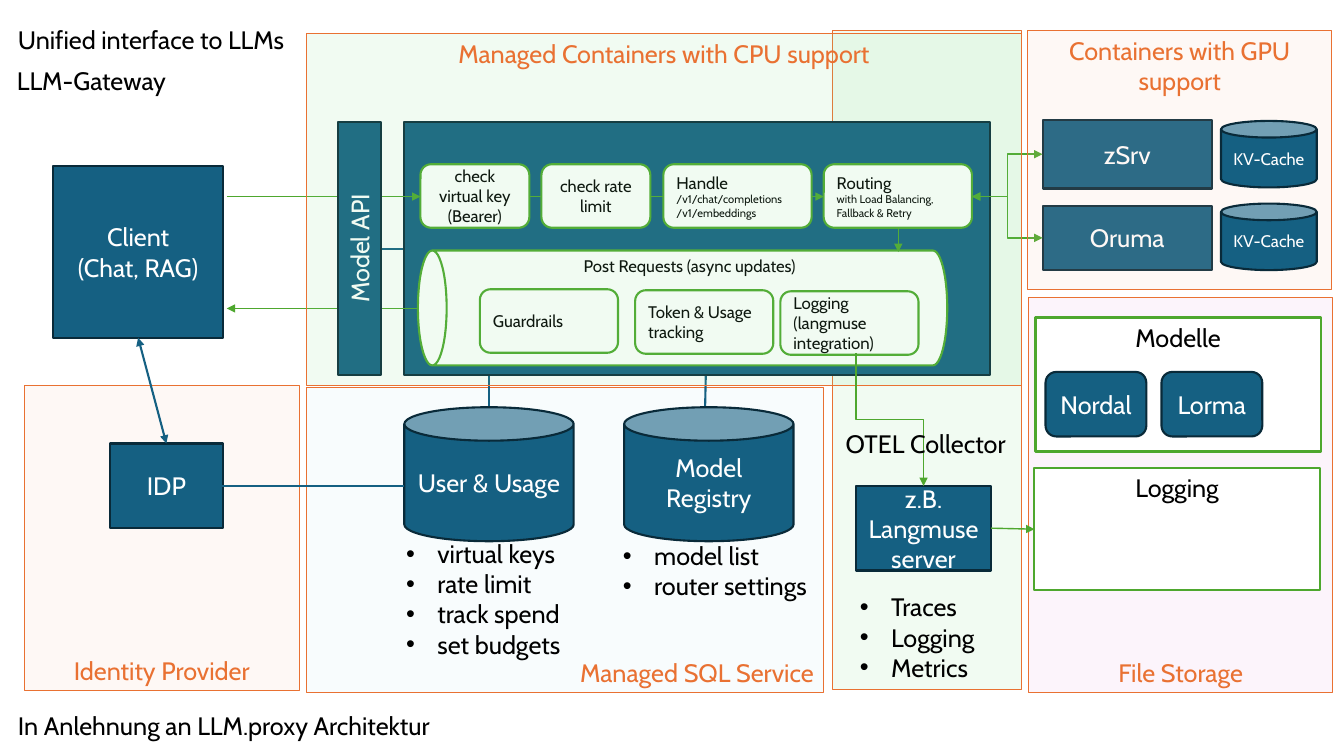
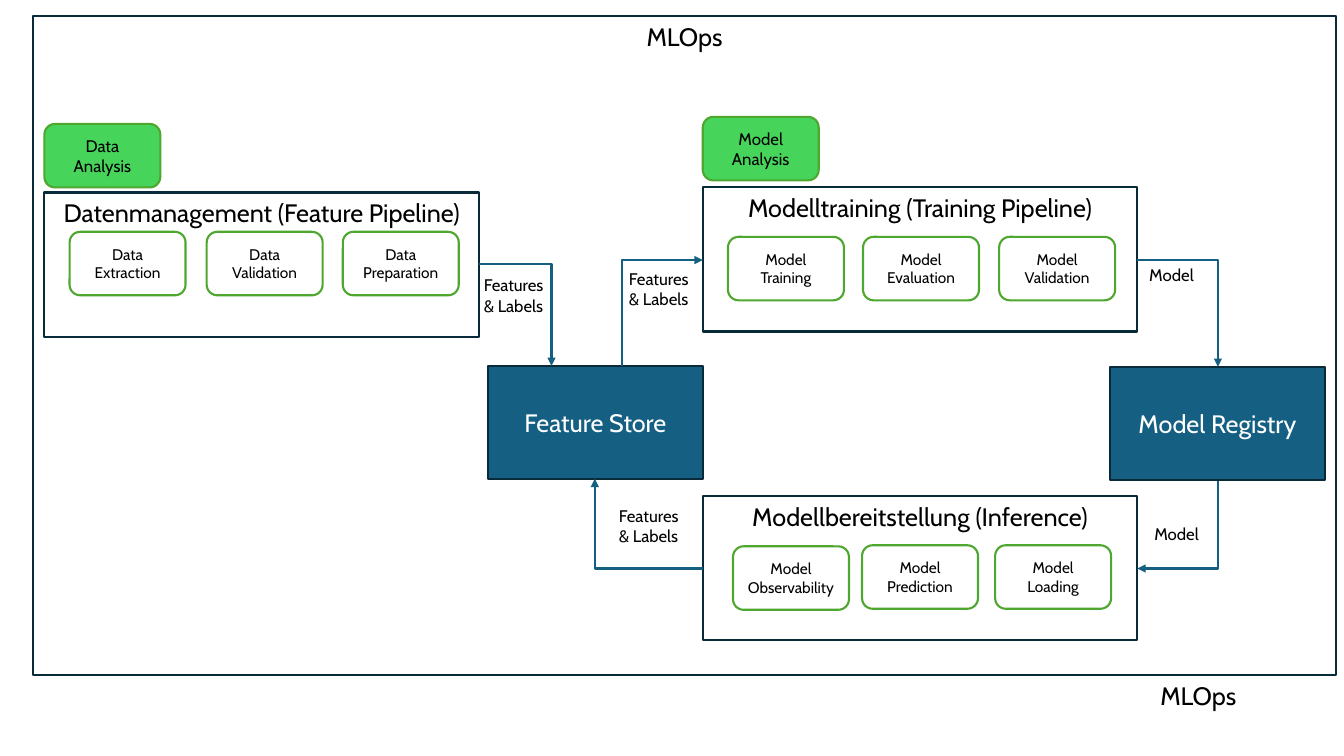
"""Build two architecture slides: an LLM gateway and an MLOps pipeline."""
from lxml.etree import SubElement
from pptx import Presentation
from pptx.dml.color import RGBColor
from pptx.enum.shapes import MSO_CONNECTOR as Wire, MSO_SHAPE as Form
from pptx.enum.text import MSO_ANCHOR as Anchor, MSO_AUTO_SIZE as Auto, PP_ALIGN as Align
from pptx.oxml.ns import qn
from pptx.util import Pt

PX = 9144
FONT = "Cabin"
BLUE, NAVY, GREEN, LIME = "156082", "092A39", "4EA72E", "47D45A"
ORANGE, WHITE, BLACK = "E97132", "FFFFFF", "000000"
MINT, SKY, PINK, PEACH = "84E291", "C1E5F5", "E59EDD", "F6C6AD"
RECT, ROUND, CAN = Form.RECTANGLE, Form.ROUNDED_RECTANGLE, Form.CAN
TOP, MID, LOW = Anchor.TOP, Anchor.MIDDLE, Anchor.BOTTOM
LEFT, MITTE, RIGHT = Align.LEFT, Align.CENTER, Align.RIGHT
hue = RGBColor.from_string

DARK = dict(fill=BLUE, edge=NAVY, ink=WHITE)
STEP = dict(form=ROUND, fill=WHITE, edge=GREEN, size=12)
TASK = dict(STEP, size=11)
MARK = dict(STEP, fill=LIME)
STORE = dict(fill=WHITE, edge=GREEN, anchor=TOP)
STAGE = dict(fill=WHITE, edge=NAVY, anchor=TOP)
ZONE = dict(edge=ORANGE, ink=ORANGE, thick=0.75, alpha=11)
NOTE = dict(form=None, align=LEFT, anchor=TOP)
LIST = dict(NOTE, bullet=True)
ONE, BOTH = ["tailEnd"], ["headEnd", "tailEnd"]


def box(page, area, text="", form=RECT, fill=None, edge=None, ink=BLACK, size=18, small=None,
        thick=1.5, alpha=None, anchor=MID, align=MITTE, bullet=False, vert=None, turn=0):
    """Draw a shape, or a text box when form is None, with one paragraph a line."""
    place = [n * PX for n in area]
    if form is None:
        item = page.shapes.add_textbox(*place)
    else:
        item = page.shapes.add_shape(form, *place)
        item.shadow.inherit = False
        item.rotation = turn
        item.fill.solid()
        item.fill.fore_color.rgb = hue(fill)
        if alpha:
            tint = item.element.spPr.find(qn("a:solidFill")).find(qn("a:srgbClr"))
            SubElement(tint, qn("a:alpha"), val=str(alpha * 1000))
        item.line.color.rgb = hue(edge)
        item.line.width = Pt(thick)
    if not text:
        return
    frame = item.text_frame
    look = dict(text=text, word_wrap=form is not None, vertical_anchor=anchor,
                auto_size=Auto.NONE if form else Auto.SHAPE_TO_FIT_TEXT)
    for key, val in look.items():
        setattr(frame, key, val)
    if vert:
        frame._txBody.bodyPr.set("vert", vert)
    for rank, para in enumerate(frame.paragraphs):
        para.alignment = align
        font = para.runs[0].font
        for key, val in dict(name=FONT, size=Pt(small if small and rank else size)).items():
            setattr(font, key, val)
        font.color.rgb = hue(ink)
        if bullet:
            props = para._p.get_or_add_pPr()
            props.set("marL", str(31 * PX))
            props.set("indent", str(-31 * PX))
            SubElement(props, qn("a:buFont"), typeface="Arial")
            SubElement(props, qn("a:buChar"), char="•")


def wire(page, start, stop, tone=GREEN, thick=1, ends=(), form="line", down=False):
    """Join two points; a bent line that leaves vertically is turned by 90 degrees."""
    (x1, y1), (x2, y2) = start, stop
    if down:
        cx, cy, dx, dy = (x1 + x2) / 2, (y1 + y2) / 2, y2 - y1, x1 - x2
        x1, y1, x2, y2 = cx - dx / 2, cy - dy / 2, cx + dx / 2, cy + dy / 2
    link = page.shapes.add_connector(Wire.STRAIGHT, *[int(n * PX) for n in (x1, y1, x2, y2)])
    link.line.color.rgb = hue(tone)
    link.line.width = Pt(thick)
    props = link.element.spPr
    props.find(qn("a:prstGeom")).set("prst", form)
    if down:
        props.find(qn("a:xfrm")).set("rot", str(90 * 60000))
    for end in ends:
        SubElement(props.find(qn("a:ln")), qn("a:" + end), type="triangle")
    SubElement(props, qn("a:effectLst"))


deck = Presentation()
deck.slide_width, deck.slide_height = 1333 * PX, 750 * PX
gate, flow = [deck.slides.add_slide(deck.slide_layouts[6]) for _ in range(2)]

box(gate, (826, 30, 187, 654), fill=MINT, **ZONE)
box(gate, (304, 384, 513, 303), "Managed SQL Service", fill=SKY, anchor=LOW, align=RIGHT, **ZONE)
box(gate, (1020, 295, 302, 392), "File Storage", fill=PINK, anchor=LOW, **ZONE)
for area, text in [((8, 19, 290, 40), "Unified interface to LLMs"),
                   ((7, 60, 170, 40), "LLM-Gateway"),
                   ((8, 700, 494, 40), "In Anlehnung an LLM.proxy Architektur")]:
    box(gate, area, text, **NOTE)

for start, stop in [((401, 247), (378, 247)), ((485, 373), (485, 404)), ((700, 373), (699, 421))]:
    wire(gate, start, stop, BLUE, 1.5)
for x, text in [(401, "User & Usage"), (619, "Model Registry")]:
    box(gate, (x, 404, 168, 133), text, form=CAN, **DARK)
box(gate, (393, 529, 184, 192), "virtual keys\nrate limit\ntrack spend\nset budgets", **LIST)
box(gate, (608, 531, 209, 71), "model list\nrouter settings", **LIST)
for y, high, text in [(119, 68, "zSrv"), (204, 64, "Oruma")]:
    box(gate, (1034, y, 168, high), text, **DARK)

box(gate, (401, 121, 581, 251), **DARK)
box(gate, (620, 43, 114, 525), "Post Requests (async updates)", form=CAN, fill=WHITE,
    edge=GREEN, size=12, anchor=TOP, vert="vert", turn=270)
for x, y, text in [(476, 287, "Guardrails"), (630, 288, "Token & Usage tracking"),
                   (774, 289, "Logging\n(langmuse integration)")]:
    box(gate, (x, y, 137, 63), text, align=LEFT, **STEP)
for y in (153, 236):
    wire(gate, (964, 195), (1034, y), ends=BOTH, form="bentConnector3")
for start, stop in [((225, 195), (417, 195)), ((525, 195), (817, 195)),
                    ((891, 226), (891, 250)), ((414, 306), (225, 306))]:
    wire(gate, start, stop, ends=ONE)
for x, wide, side, text in [
        (417, 108, MITTE, "check virtual key (Bearer)"),
        (537, 108, MITTE, "check rate limit"),
        (658, 147, LEFT, "Handle\n/v1/chat/completions\n/v1/embeddings"),
        (817, 147, LEFT, "Routing\nwith Load Balancing, Fallback & Retry")]:
    box(gate, (x, 163, wide, 63), text, align=side, small=8, **STEP)
box(gate, (53, 165, 168, 170), "Client\n(Chat, RAG)", **DARK)
box(gate, (335, 121, 43, 251), "Model API", vert="vert270", **DARK)

for area, tone, side, text in [
        ((304, 33, 709, 349), MINT, TOP, "Managed Containers with CPU support"),
        ((1019, 30, 302, 257), PEACH, TOP, "Containers with GPU support"),
        ((24, 382, 273, 303), PEACH, LOW, "Identity Provider")]:
    box(gate, area, text, fill=tone, anchor=side, **ZONE)
box(gate, (109, 440, 112, 84), "IDP", **DARK)
wire(gate, (220, 482), (401, 482), BLUE, 1.5)
wire(gate, (137, 335), (165, 440), BLUE, 1.5, BOTH)
box(gate, (849, 482, 134, 84), "z.B. Langmuse server", **DARK)
box(gate, (1027, 315, 283, 133), "Modelle", **STORE)
box(gate, (1026, 464, 283, 121), "Logging", **STORE)
for x, text in [(1037, "Nordal"), (1152, "Lorma")]:
    box(gate, (x, 369, 100, 64), text, form=ROUND, **DARK)
wire(gate, (849, 350), (916, 482), ends=ONE, form="bentConnector3", down=True)
wire(gate, (983, 524), (1026, 525), ends=ONE)
for y in (120, 202):
    box(gate, (1211, y, 95, 66), "KV-Cache", form=CAN, size=12, **DARK)
box(gate, (843, 582, 135, 101), "Traces\nLogging\nMetrics", **LIST)
box(gate, (829, 420, 183, 40), "OTEL Collector", **NOTE)

box(flow, (33, 16, 1292, 654), "MLOps", **STAGE)
box(flow, (1141, 670, 97, 40), "MLOps", **NOTE)
for x, y, title, tasks in [
        (44, 191, "Datenmanagement (Feature Pipeline)",
         [(69, 230, "Data Extraction"), (205, 230, "Data Validation"), (340, 230, "Data Preparation")]),
        (697, 186, "Modelltraining (Training Pipeline)",
         [(722, 235, "Model Training"), (856, 235, "Model Evaluation"), (991, 235, "Model Validation")]),
        (697, 492, "Modellbereitstellung (Inference)",
         [(727, 542, "Model Observability"), (855, 541, "Model Prediction"), (987, 541, "Model Loading")])]:
    box(flow, (x, y, 431, 143), title, **STAGE)
    for left, top, text in tasks:
        box(flow, (left, top, 115, 63), text, **TASK)
for x, y, text in [(44, 123, "Data Analysis"), (697, 116, "Model Analysis")]:
    box(flow, (x, y, 115, 63), text, **MARK)
for x, y, text in [(484, 363, "Feature Store"), (1101, 364, "Model Registry")]:
    box(flow, (x, y, 213, 112), text, **DARK)
for start, stop, down in [((475, 262), (547, 363), False), ((617, 363), (697, 258), True),
                          ((1128, 258), (1208, 364), False), ((1208, 477), (1128, 564), True),
                          ((697, 564), (590, 475), False)]:
    wire(flow, start, stop, BLUE, 1.5, ONE, "bentConnector2", down)
for x, y in [(470, 268), (614, 262), (604, 497)]:
    box(flow, (x, y, 87, 50), "Features\n& Labels", size=12, **NOTE)
for x, y in [(1130, 258), (1135, 515)]:
    box(flow, (x, y, 66, 30), "Model", size=12, **NOTE)

deck.save("out.pptx")
